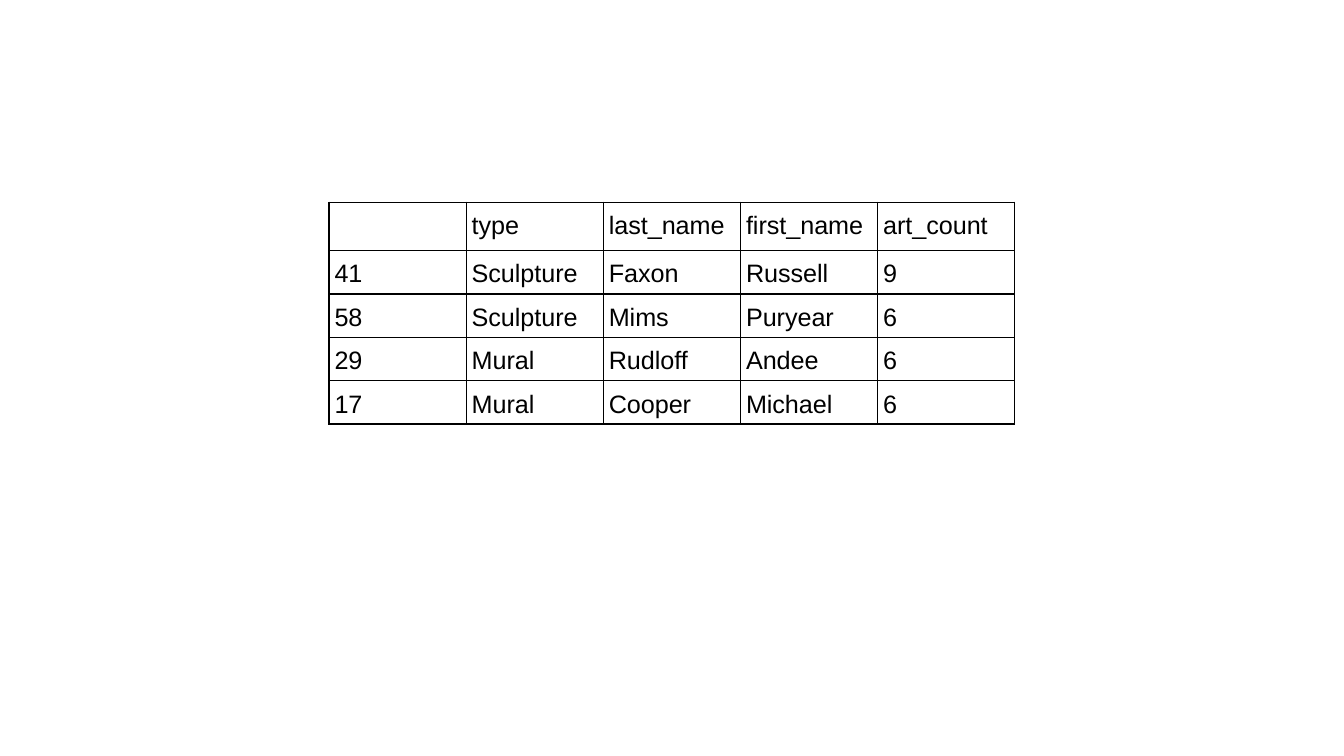
import pptx
import pptx.util
import pptx.dml.color
import pptx.oxml.ns
import lxml.etree

Pt = pptx.util.Pt
FONT_SIZE = 13.5
ROWS = [
    ["", "type", "last_name", "first_name", "art_count"],
    ["41", "Sculpture", "Faxon", "Russell", "9"],
    ["58", "Sculpture", "Mims", "Puryear", "6"],
    ["29", "Mural", "Rudloff", "Andee", "6"],
    ["17", "Mural", "Cooper", "Michael", "6"],
]


def color(value):
    return pptx.dml.color.RGBColor.from_string(value)


def add_element(parent, name, **attributes):
    return lxml.etree.SubElement(parent, pptx.oxml.ns.qn(name), **attributes)


def set_borders(cell, line_color, width):
    properties = cell._tc.get_or_add_tcPr()
    for side in ("a:lnL", "a:lnR", "a:lnT", "a:lnB"):
        line = add_element(properties, side, w=str(Pt(width)))
        fill = add_element(line, "a:solidFill")
        add_element(fill, "a:srgbClr", val=line_color)


def write_text(para, text, size=FONT_SIZE, font="Arial", text_color="000000", spacing=1.15):
    para.line_spacing = spacing
    if not text:
        add_element(para._p, "a:endParaRPr", sz=str(int(size * 100)))
        return
    span = para.add_run()
    span.text = text
    span.font.size = Pt(size)
    span.font.name = font
    span.font.color.rgb = color(text_color)


def format_cell(cell, text):
    cell.margin_left = cell.margin_right = Pt(3)
    cell.margin_top = cell.margin_bottom = Pt(3)
    set_borders(cell, "000000", 0.75)
    cell.fill.background()
    write_text(cell.text_frame.paragraphs[0], text)


def add_grid(page, rows, left, top, column_width, header_height, row_height):
    width = column_width * len(rows[0])
    height = header_height + row_height * (len(rows) - 1)
    frame = page.shapes.add_table(
        len(rows), len(rows[0]), Pt(left), Pt(top), Pt(width), Pt(height)
    )
    table = frame.table
    table.first_row = False
    table.horz_banding = False
    for column in table.columns:
        column.width = Pt(column_width)
    for index, texts in enumerate(rows):
        table.rows[index].height = Pt(row_height if index else header_height)
        for cell, text in zip(table.rows[index].cells, texts):
            format_cell(cell, text)


def main():
    deck = pptx.Presentation()
    deck.slide_width = Pt(720)
    deck.slide_height = Pt(405)
    page = deck.slides.add_slide(deck.slide_layouts[6])
    page.background.fill.solid()
    page.background.fill.fore_color.rgb = color("FFFFFF")
    add_grid(page, ROWS, left=176.25, top=108.35, column_width=73.5,
             header_height=25.9, row_height=23.25)
    deck.save("out.pptx")


main()
